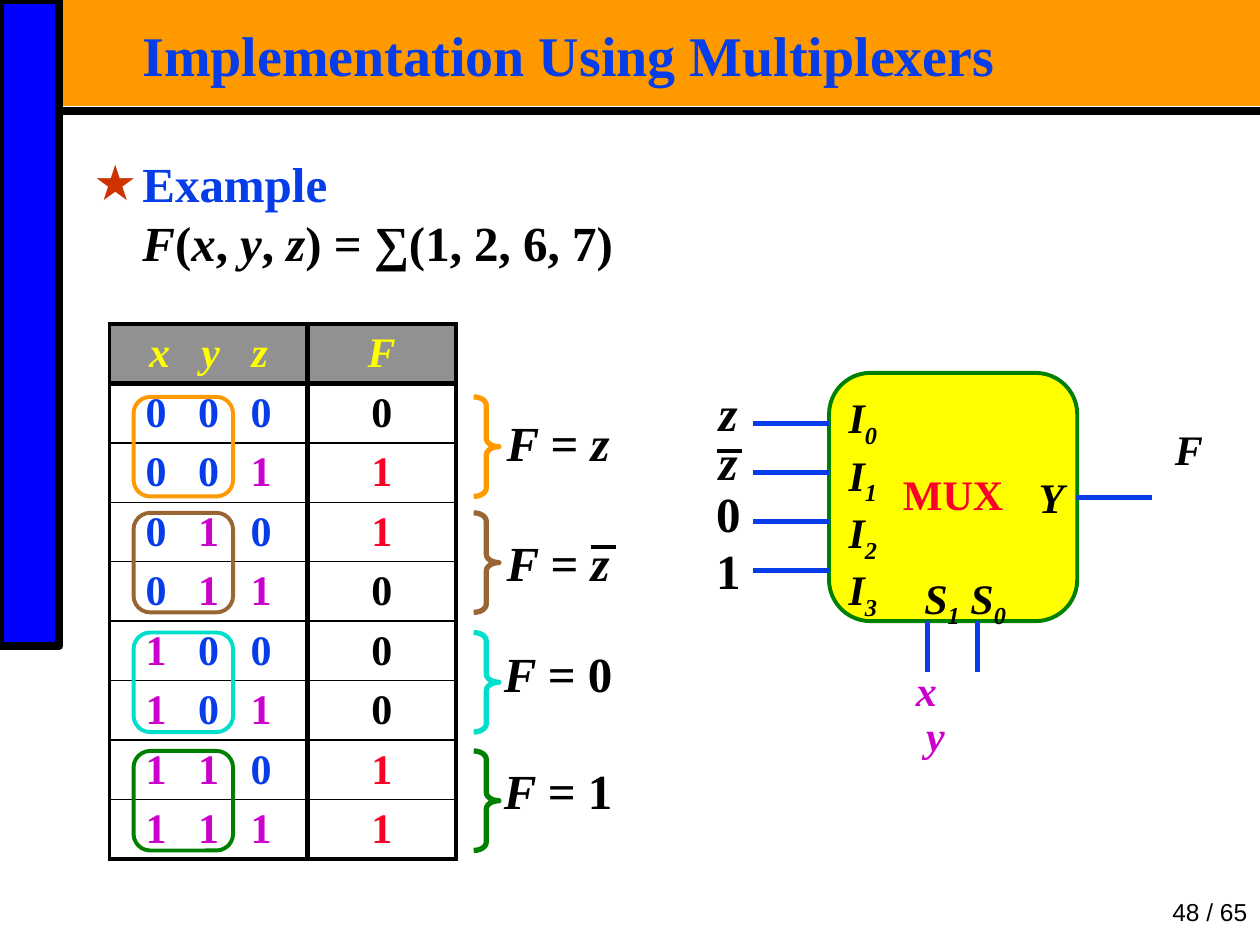
import itertools

import lxml.etree
import pptx
import pptx.dml.color
import pptx.enum.shapes
import pptx.enum.text
import pptx.oxml.ns
import pptx.util

Inches = pptx.util.Inches
Pt = pptx.util.Pt
RGBColor = pptx.dml.color.RGBColor
Shape = pptx.enum.shapes.MSO_SHAPE
Align = pptx.enum.text.PP_ALIGN
Anchor = pptx.enum.text.MSO_ANCHOR
qn = pptx.oxml.ns.qn

BLACK = RGBColor(0x00, 0x00, 0x00)
BLUE = RGBColor(0x06, 0x3D, 0xE8)
SIDEBAR_BLUE = RGBColor(0x00, 0x00, 0xFF)
ORANGE = RGBColor(0xFF, 0x99, 0x00)
YELLOW = RGBColor(0xFF, 0xFF, 0x00)
GREEN = RGBColor(0x00, 0x80, 0x00)
RED = RGBColor(0xFC, 0x01, 0x28)
MAGENTA = RGBColor(0xCC, 0x00, 0xCC)
GRAY = RGBColor(0x91, 0x91, 0x91)
BROWN = RGBColor(0x99, 0x66, 0x33)
TURQUOISE = RGBColor(0x00, 0xDF, 0xCA)

SERIF = "Times New Roman"
MINTERMS = (1, 2, 6, 7)


def write(paragraph, runs, size, align=Align.CENTER, spacing=1.0, bold=True, name=SERIF):
    paragraph.alignment = align
    paragraph.line_spacing = spacing
    paragraph.space_before = Pt(0)
    font = paragraph.font
    font.size, font.bold, font.name = Pt(size), bold, name
    for text, color, style in runs:
        run = paragraph.add_run()
        run.text = text
        run.font.color.rgb = color
        run.font.italic = "i" in style
        if "s" in style:
            run.font._element.set("baseline", "-25000")


def set_margins(frame, horizontal=0, vertical=0):
    frame.margin_left = frame.margin_right = Inches(horizontal)
    frame.margin_top = frame.margin_bottom = Inches(vertical)


def add_text(slide, left, top, width, height, lines, size, wrap=True, **options):
    box = slide.shapes.add_textbox(Inches(left), Inches(top), Inches(width), Inches(height))
    frame = box.text_frame
    frame.word_wrap = wrap
    set_margins(frame)
    for index, runs in enumerate(lines):
        paragraph = frame.add_paragraph() if index else frame.paragraphs[0]
        write(paragraph, runs, size, **options)
    return frame


def add_shape(slide, kind, left, top, width, height, fill=None, line=None, weight=0, adjustments=()):
    shape = slide.shapes.add_shape(kind, Inches(left), Inches(top), Inches(width), Inches(height))
    shape.shadow.inherit = False
    if fill is None:
        shape.fill.background()
    else:
        shape.fill.solid()
        shape.fill.fore_color.rgb = fill
    if line is None:
        shape.line.fill.background()
    else:
        shape.line.color.rgb = line
        shape.line.width = Pt(weight)
    for index, value in enumerate(adjustments):
        shape.adjustments[index] = value
    return shape


def add_line(slide, start, end, color=BLUE, weight=3):
    connector = slide.shapes.add_connector(
        pptx.enum.shapes.MSO_CONNECTOR.STRAIGHT, *map(Inches, start + end))
    connector.line.color.rgb = color
    connector.line.width = Pt(weight)
    lxml.etree.SubElement(connector._element.spPr, qn("a:effectLst"))


def set_borders(cell, weights):
    properties = cell._tc.get_or_add_tcPr()
    for side, weight in zip("LRTB", weights):
        border = lxml.etree.SubElement(properties, qn("a:ln" + side), w=str(Pt(weight)))
        fill = lxml.etree.SubElement(border, qn("a:solidFill"))
        lxml.etree.SubElement(fill, qn("a:srgbClr"), val=str(BLACK))


def place(placeholder, left, top, width, height):
    placeholder.left, placeholder.top = Inches(left), Inches(top)
    placeholder.width, placeholder.height = Inches(width), Inches(height)
    set_margins(placeholder.text_frame, 0.07, 0.03)
    tree = placeholder._element.getparent()
    tree.append(placeholder._element)
    return placeholder.text_frame.paragraphs[0]


def add_star_bullet(paragraph):
    properties = paragraph._p.get_or_add_pPr()
    properties.set("marL", str(Inches(0.39)))
    properties.set("indent", str(Inches(-0.39)))
    color = lxml.etree.Element(qn("a:buClr"))
    lxml.etree.SubElement(color, qn("a:srgbClr"), val="CC3300")
    bullet = lxml.etree.Element(qn("a:buChar"), char="★")
    defaults = properties.find(qn("a:defRPr"))
    defaults.addprevious(color)
    defaults.addprevious(bullet)


def add_frame(slide):
    add_shape(slide, Shape.RECTANGLE, 0.47, 0, 9.53, 0.84, ORANGE)
    add_shape(slide, Shape.RECTANGLE, 0, 0, 0.47, 5.13, SIDEBAR_BLUE, BLACK, 4.5)
    add_line(slide, (0.47, 0.88), (10, 0.88), BLACK, 4.5)
    add_text(slide, 8.59, 7.12, 1.31, 0.27, [[("48 / 65", BLACK, "")]], 14,
             align=Align.RIGHT, bold=False, name="Arial")


def add_headings(slide):
    title = place(slide.shapes.title, 1.06, 0.21, 8.66, 0.52)
    write(title, [("Implementation Using Multiplexers", BLUE, "")], 32, Align.LEFT, 0.87)
    body = place(slide.placeholders[1], 0.67, 1.19, 9.06, 0.99)
    function = [("F", BLACK, "i"), ("(", BLACK, ""), ("x", BLACK, "i"), (", ", BLACK, ""),
                ("y", BLACK, "i"), (", ", BLACK, ""), ("z", BLACK, "i"),
                (") = ∑(1, 2, 6, 7)", BLACK, "")]
    write(body, [("Example", BLUE, "")], 28, Align.LEFT)
    body.add_line_break()
    write(body, function, 28, Align.LEFT)
    add_star_bullet(body)


def add_truth_table(slide):
    rows = [([("x   y   z", YELLOW, "i")], [("F", YELLOW, "i")])]
    for number, bits in enumerate(itertools.product("01", repeat=3)):
        inputs = [(bit + "   " * (index < 2), MAGENTA if bit == "1" else BLUE, "")
                  for index, bit in enumerate(bits)]
        output = ("1", RED, "") if number in MINTERMS else ("0", BLACK, "")
        rows.append((inputs, [output]))
    table = slide.shapes.add_table(
        len(rows), 2, Inches(0.87), Inches(2.57), Inches(2.75), Inches(4.25)).table
    table.first_row = table.horz_banding = False
    table.columns[0].width, table.columns[1].width = Inches(1.57), Inches(1.18)
    rules = [2.25, 3] + [1] * (len(rows) - 2) + [2.25]
    for row, contents in enumerate(rows):
        for column, runs in enumerate(contents):
            cell = table.cell(row, column)
            set_margins(cell)
            cell.vertical_anchor = Anchor.MIDDLE
            sides = (3, 2.25) if column else (2.25, 3)
            set_borders(cell, (*sides, rules[row], rules[row + 1]))
            if row:
                cell.fill.background()
            else:
                cell.fill.solid()
                cell.fill.fore_color.rgb = GRAY
            write(cell.text_frame.paragraphs[0], runs, 24)


def add_row_pairs(slide):
    pairs = [(3.15, 3.33, ORANGE, "z", "i"), (4.07, 4.28, BROWN, "z", "i"),
             (5.02, 5.16, TURQUOISE, "0", ""), (5.96, 6.09, GREEN, "1", "")]
    for top, label_top, color, value, style in pairs:
        add_shape(slide, Shape.ROUNDED_RECTANGLE, 1.06, top, 0.79, 0.79, None, color, 2.25, (0.167,))
        add_shape(slide, Shape.RIGHT_BRACE, 3.76, top, 0.2, 0.79, None, color, 3, (0.331, 0.5))
        label = [("F ", BLACK, "i"), ("= ", BLACK, ""), (value, BLACK, style)]
        add_text(slide, 3.93, label_top, 1, 0.42, [label], 28, wrap=False, spacing=0.9)
    add_line(slide, (4.69, 4.34), (4.89, 4.34), BLACK, 2.25)


def add_multiplexer(slide):
    block = add_shape(slide, Shape.ROUNDED_RECTANGLE, 6.58, 2.96, 1.97, 1.97, YELLOW, GREEN, 2.25, (0.167,))
    set_margins(block.text_frame)
    block.text_frame.vertical_anchor = Anchor.MIDDLE
    write(block.text_frame.paragraphs[0], [("MUX", RED, "")], 24, spacing=0.9)

    inputs = [(3.09, "z", "i"), (3.48, "z", "i"), (3.89, "0", ""), (4.34, "1", "")]
    for index, (top, value, style) in enumerate(inputs):
        level = 3.36 + 0.39 * index
        add_line(slide, (5.98, level), (6.58, level))
        add_text(slide, 5.63, top, 0.3, 0.42, [[(value, BLACK, style)]], 28, wrap=False, spacing=0.9)
    add_line(slide, (5.69, 3.58), (5.89, 3.58), BLACK, 2.25)
    for column in (7.36, 7.76):
        add_line(slide, (column, 4.93), (column, 5.33))
    add_line(slide, (8.54, 3.95), (9.14, 3.95))

    ports = [[("I", BLACK, "i"), (str(index), BLACK, "is")] for index in range(len(inputs))]
    add_text(slide, 6.57, 3.11, 0.39, 1.6, ports, 24, align=Align.RIGHT)
    selects = [("S", BLACK, "i"), ("1", BLACK, "is"), (" S", BLACK, "i"), ("0", BLACK, "is")]
    add_text(slide, 7.17, 4.54, 0.98, 0.4, [selects], 24)
    add_text(slide, 8.15, 3.74, 0.39, 0.4, [[("Y", BLACK, "i")]], 24)
    add_text(slide, 9.14, 3.36, 0.59, 0.4, [[("F", BLACK, "i")]], 24)
    variables = add_text(slide, 7.27, 5.32, 0.56, 0.72, [[("x", MAGENTA, "i")], [("y", MAGENTA, "i")]],
                         24, align=Align.LEFT, spacing=0.9)
    variables.paragraphs[1]._p.get_or_add_pPr().set("marL", str(Inches(0.08)))


def main():
    presentation = pptx.Presentation()
    presentation.slide_width, presentation.slide_height = Inches(10), Inches(7.5)
    slide = presentation.slides.add_slide(presentation.slide_layouts[1])
    add_frame(slide)
    add_headings(slide)
    add_multiplexer(slide)
    add_truth_table(slide)
    add_row_pairs(slide)
    presentation.save("out.pptx")


if __name__ == "__main__":
    main()
